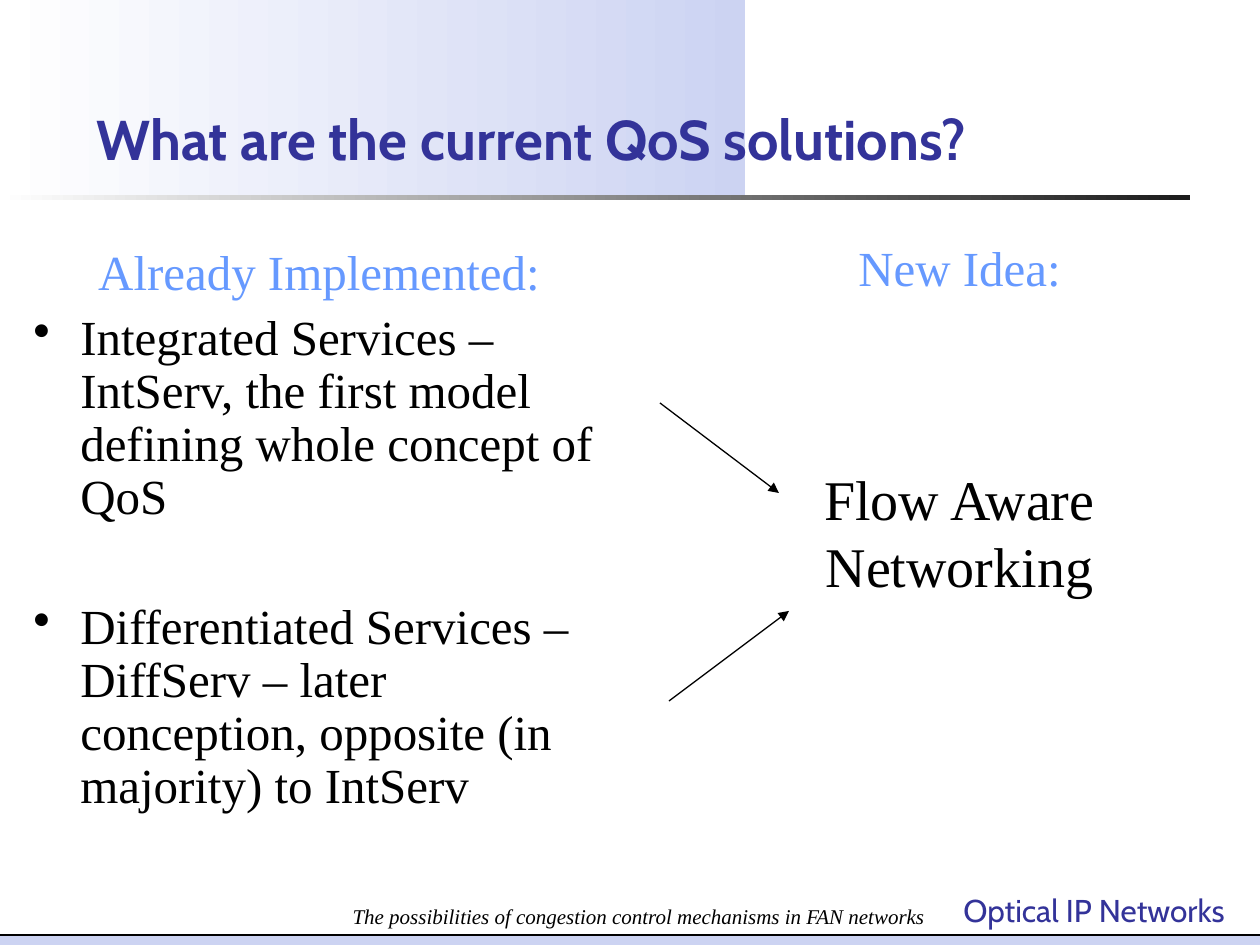
import pptx
import pptx.util
import pptx.dml.color
import pptx.enum.shapes
import pptx.enum.text
import pptx.oxml.ns
import lxml.etree

PX = 914400 / 126
SERIF, SANS = "Times New Roman", "Cabin"
COLORS = {"pale": "CCD3F2", "white": "FFFFFF", "rule": "1C1C1C",
          "black": "000000", "navy": "333399", "sky": "6699FF"}
ALIGN = pptx.enum.text.PP_ALIGN
ANCHOR = pptx.enum.text.MSO_ANCHOR
INDENT = 47

# box in pixels, fill colours from right to left
BANDS = [
    ((0, 0, 745, 199), ("pale", "white")),
    ((0, 195, 1190, 5), ("rule", "white")),
    ((0, 935, 1260, 10), ("pale",)),
]
FOOT_RULE = (0, 935, 1260, 935)
ARROWS = [(669, 701, 789, 611), (660, 403, 779, 493)]

TITLE_BOX = (84, 14, 977, 164)
TITLE = [dict(text="What are the current QoS solutions?", size=32, font=SANS,
              color="navy", bold=True, align=ALIGN.LEFT, spacing=1.01)]
IMPLEMENTED = [
    dict(text="Already Implemented:", size=28, color="sky",
         align=ALIGN.CENTER, spacing=0.9, margin=INDENT, first=-INDENT),
    dict(text="Integrated Services – IntServ, the first model defining "
              "whole concept of QoS",
         size=28, spacing=0.9, before=7, margin=INDENT, first=-INDENT, bullet="•"),
    dict(text="Differentiated Services – DiffServ – later conception, "
              "opposite (in majority) to IntServ",
         size=28, spacing=0.9, before=44, margin=INDENT, first=-INDENT, bullet="•"),
]
NEW_IDEA = [
    dict(text="New Idea:", size=28, color="sky", align=ALIGN.CENTER, margin=INDENT),
    dict(text="Flow Aware Networking", size=32, align=ALIGN.CENTER,
         before=96, margin=INDENT),
]
NETWORKS = [dict(text="Optical IP Networks", size=18, font=SANS, color="navy")]
SUBJECT = [dict(text="The possibilities of congestion control mechanisms in FAN networks",
                size=12, italic=True, align=ALIGN.CENTER)]
# box in pixels, paragraphs, anchor, wrap
TEXTS = [
    ((951, 885, 318, 50), NETWORKS, ANCHOR.TOP, False),
    ((21, 242, 596, 644), IMPLEMENTED, ANCHOR.TOP, True),
    ((638, 231, 596, 614), NEW_IDEA, ANCHOR.TOP, True),
    ((312, 872, 654, 63), SUBJECT, ANCHOR.BOTTOM, True),
]


def emu(*pixels):
    """Turn pixels into a list of EMU lengths."""
    return [pptx.util.Emu(round(p * PX)) for p in pixels]


def rgb(name):
    """Look up a named colour."""
    return pptx.dml.color.RGBColor.from_string(COLORS[name])


def add_child(parent, tag, **attributes):
    """Append a DrawingML element."""
    return lxml.etree.SubElement(parent, pptx.oxml.ns.qn(tag), attributes)


def write(frame, paragraphs, anchor, wrap=True):
    """Fill a text frame with formatted paragraphs."""
    frame.word_wrap = wrap
    frame.auto_size = pptx.enum.text.MSO_AUTO_SIZE.NONE
    frame.vertical_anchor = anchor
    for number, item in enumerate(paragraphs):
        paragraph = frame.add_paragraph() if number else frame.paragraphs[0]
        paragraph.alignment = item.get("align", ALIGN.LEFT)
        paragraph.line_spacing = item.get("spacing", 1.0)
        paragraph.space_before = pptx.util.Pt(item.get("before", 0))
        properties = paragraph._p.get_or_add_pPr()
        margin, first = emu(item.get("margin", 0), item.get("first", 0))
        properties.set("marL", str(int(margin)))
        properties.set("indent", str(int(first)))
        if "bullet" in item:
            color = add_child(properties, "a:buClr")
            add_child(color, "a:srgbClr", val=COLORS["black"])
            add_child(properties, "a:buChar", char=item["bullet"])
        else:
            add_child(properties, "a:buNone")
        run = paragraph.add_run()
        run.text = item["text"]
        run.font.name = item.get("font", SERIF)
        run.font.size = pptx.util.Pt(item["size"])
        run.font.bold = item.get("bold", False)
        run.font.italic = item.get("italic", False)
        run.font.color.rgb = rgb(item.get("color", "black"))


def add_band(shapes, box, colors):
    """Draw a borderless rectangle with a solid or gradient fill."""
    band = shapes.add_shape(pptx.enum.shapes.MSO_SHAPE.RECTANGLE, *emu(*box))
    band.shadow.inherit = False
    band.line.fill.background()
    if len(colors) == 1:
        band.fill.solid()
        band.fill.fore_color.rgb = rgb(colors[0])
        return
    band.fill.gradient()
    band.fill.gradient_angle = 180
    for stop, color in zip(band.fill.gradient_stops, colors):
        stop.color.rgb = rgb(color)


def add_line(shapes, ends, arrow=False):
    """Draw a thin black line, with an arrowhead at its end if wanted."""
    line = shapes.add_connector(pptx.enum.shapes.MSO_CONNECTOR.STRAIGHT, *emu(*ends))
    line.line.width = pptx.util.Pt(0.74)
    line.line.color.rgb = rgb("black")
    if arrow:
        add_child(line.line._get_or_add_ln(), "a:tailEnd", type="triangle")
    add_child(line._element.spPr, "a:effectLst")


deck = pptx.Presentation()
deck.slide_width, deck.slide_height = emu(1260, 945)
slide = deck.slides.add_slide(deck.slide_layouts[5])
shapes = slide.shapes

for box, colors in BANDS:
    add_band(shapes, box, colors)
add_line(shapes, FOOT_RULE)

title = shapes.title
title.left, title.top, title.width, title.height = emu(*TITLE_BOX)
write(title.text_frame, TITLE, ANCHOR.BOTTOM)
title._element.getparent().append(title._element)

for box, paragraphs, anchor, wrap in TEXTS:
    write(shapes.add_textbox(*emu(*box)).text_frame, paragraphs, anchor, wrap)
for ends in ARROWS:
    add_line(shapes, ends, arrow=True)

deck.save("out.pptx")
